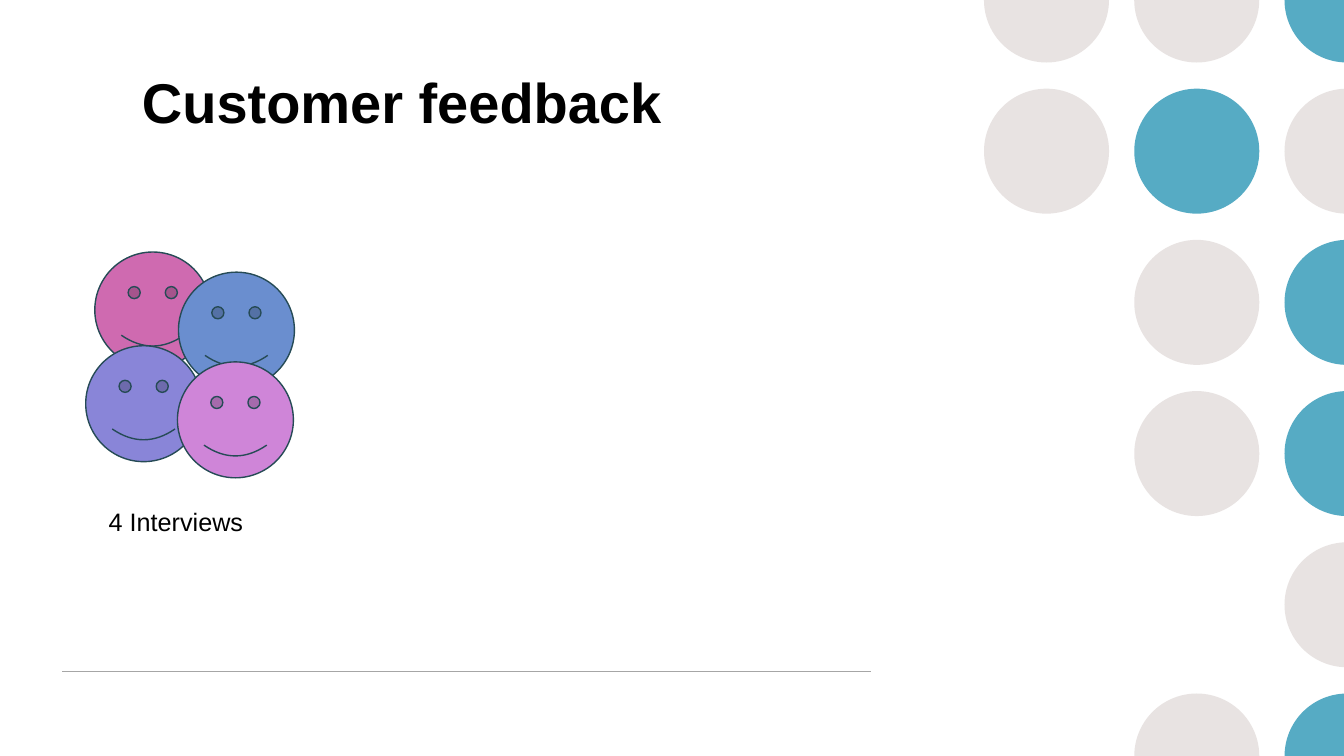
from dataclasses import dataclass
from math import acos, cos, degrees, radians, sin

from lxml.etree import SubElement as Sub
from pptx import Presentation
from pptx.dml.color import RGBColor as Color
from pptx.enum.shapes import MSO_CONNECTOR as Link, MSO_SHAPE as Kind
from pptx.enum.text import MSO_ANCHOR as Anchor, PP_ALIGN as Align
from pptx.oxml.ns import qn
from pptx.util import Inches, Pt

WIDE, HIGH = 13.33, 7.5


@dataclass(frozen=True)
class Theme:
    font: str = "Arial"
    head: int = 40
    body: int = 18
    ink: str = "000000"
    pale: str = "E8E3E2"
    teal: str = "56ABC4"
    rule: str = "A6A6A6"
    edge: str = "264B56"
    faces: tuple = ("CF6AB0", "6A8ECF", "8985D8", "CF85D8")


class Deck:
    def __init__(self, theme):
        self.theme = theme
        self.file = Presentation()
        self.file.slide_width = Inches(WIDE)
        self.file.slide_height = Inches(HIGH)
        self.slide = self.file.slides.add_slide(self.file.slide_layouts[6])
        self.shapes = self.slide.shapes

    def paint(self, shape, fill, line=None):
        shape.shadow.inherit = False
        shape.fill.solid()
        shape.fill.fore_color.rgb = Color.from_string(fill)
        if line:
            shape.line.color.rgb = Color.from_string(line)
            shape.line.width = Pt(1)
        else:
            shape.line.fill.background()

    def shape(self, kind, left, top, size, fill, line=None):
        box = map(Inches, (left, top, size, size))
        self.paint(self.shapes.add_shape(kind, *box), fill, line)

    def dot(self, x, y, size, fill):
        """Draw a circle about (x, y), cut off where it leaves the slide."""
        r = size / 2
        if x + r <= WIDE and r <= y <= HIGH - r:
            self.shape(Kind.OVAL, x - r, y - r, size, fill)
        else:
            self.cut(x, y, r, fill)

    def cut(self, x, y, r, fill):
        """Draw the visible arc of a circle that crosses the slide edge."""
        left, right = x - r, min(x + r, WIDE)
        top, low = max(y - r, 0), min(y + r, HIGH)
        start, end = 0, 360
        if x + r > WIDE:
            start = degrees(acos((WIDE - x) / r))
            end = 360 - start
        if y < r:
            end = min(end, 180)
        if y > HIGH - r:
            start = max(start, 180)

        box = [(Inches(a), Inches(b)) for a, b in
               ((left, top), (right, top), (right, low), (left, low))]
        pen = self.shapes.build_freeform(*box[0])
        pen.add_line_segments(box[1:], close=True)
        shape = pen.convert_to_shape()
        route = shape._element.find(".//" + qn("a:path"))
        for step in list(route):
            route.remove(step)

        def point(tag, a, b):
            Sub(Sub(route, qn(tag)), qn("a:pt"),
                x=str(Inches(a - left)), y=str(Inches(b - top)))

        turn = radians(start)
        point("a:moveTo", x + r * cos(turn), y + r * sin(turn))
        Sub(route, qn("a:arcTo"), wR=str(Inches(r)), hR=str(Inches(r)),
            stAng=str(round(start * 60000)),
            swAng=str(round((end - start) * 60000)))
        if x + r > WIDE and (y < r or y > HIGH - r):
            point("a:lnTo", WIDE, 0 if y < r else HIGH)
        Sub(route, qn("a:close"))
        self.paint(shape, fill)

    def line(self, left, right, y, color):
        ends = map(Inches, (left, y, right, y))
        line = self.shapes.add_connector(Link.STRAIGHT, *ends)
        line.line.color.rgb = Color.from_string(color)
        line.line.width = Pt(1)
        Sub(line._element.spPr, qn("a:effectLst"))

    def text(self, words, box, size, bold=False, inset=0.05):
        frame = self.shapes.add_textbox(*map(Inches, box)).text_frame
        frame.word_wrap = True
        frame.vertical_anchor = Anchor.TOP
        frame.margin_top = Inches(inset)
        para = frame.paragraphs[0]
        para.alignment = Align.LEFT
        run = para.add_run()
        run.text = words
        run.font.name = self.theme.font
        run.font.size = Pt(size)
        run.font.bold = bold
        run.font.color.rgb = Color.from_string(self.theme.ink)


def main():
    theme = Theme()
    deck = Deck(theme)

    # One string per row of dots: p is pale, t is teal
    grid = ("ppt", "ptp", " pt", " pt", "  p", " pt")
    tints = {"p": theme.pale, "t": theme.teal}
    for row, marks in enumerate(grid):
        for col, mark in enumerate(marks):
            if mark in tints:
                deck.dot(10.38 + 1.49 * col, 1.5 * row, 1.24, tints[mark])

    deck.line(0.62, 8.64, 6.66, theme.rule)
    deck.text("Customer feedback", (1.31, 0.56, 8.02, 1.39), theme.head,
              bold=True, inset=0.11)
    spots = ((0.94, 2.5), (1.77, 2.7), (0.85, 3.43), (1.76, 3.59))
    for spot, fill in zip(spots, theme.faces):
        deck.shape(Kind.SMILEY_FACE, *spot, 1.15, fill, theme.edge)
    deck.text("4 Interviews", (0.98, 4.97, 1.83, 0.4), theme.body)
    deck.file.save("out.pptx")


if __name__ == "__main__":
    main()
